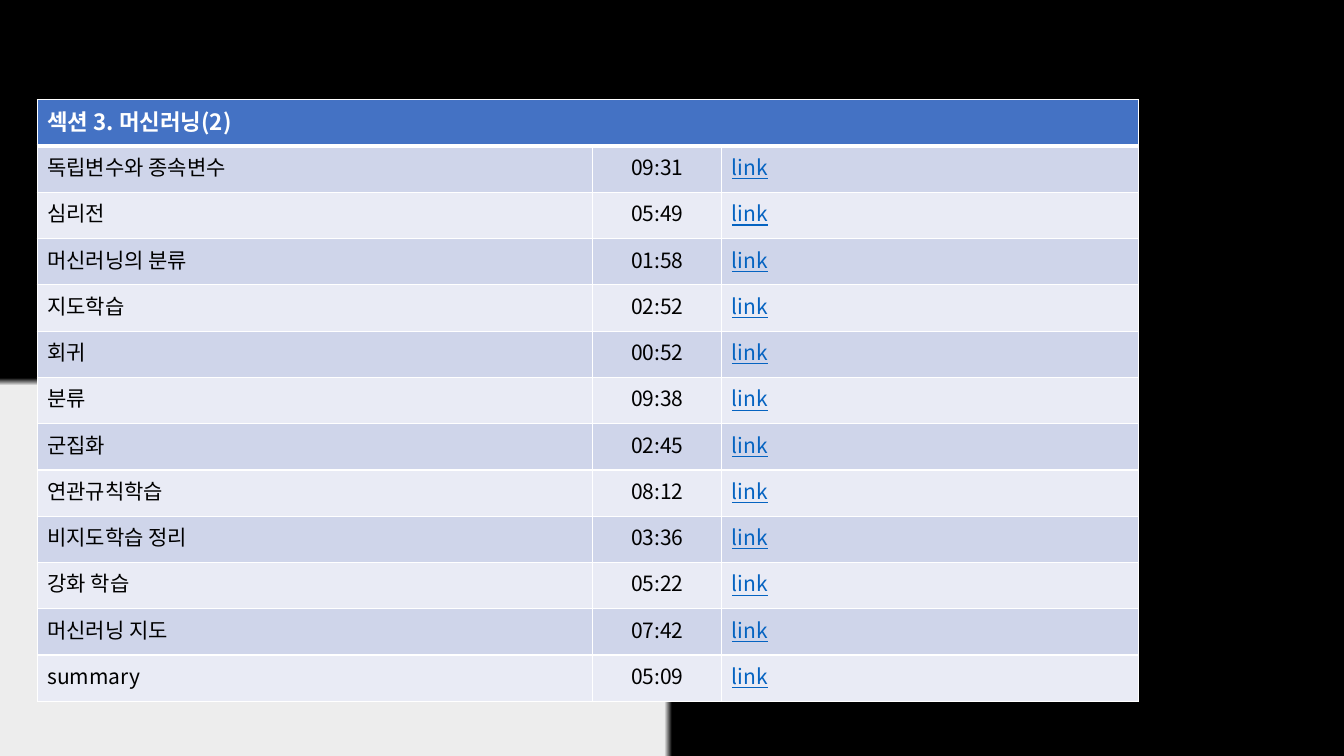
import pptx
import pptx.dml.color
import pptx.enum.shapes
import pptx.enum.text
import pptx.oxml
import pptx.oxml.ns
import pptx.util
import lxml.etree

Inches = pptx.util.Inches
qn = pptx.oxml.ns.qn
LEFT = pptx.enum.text.PP_ALIGN.LEFT
CENTER = pptx.enum.text.PP_ALIGN.CENTER
FONT = "Noto Sans CJK KR"
COLORS = {
    "backdrop": "000000",
    "glow": "EDEDED",
    "header": "4472C4",
    "odd": "CFD5EA",
    "even": "E9EBF5",
    "border": "FFFFFF",
    "text": "000000",
    "link": "0563C1",
}


def rgb(name):
    return pptx.dml.color.RGBColor.from_string(COLORS[name])


def write_cell(cell, text, fill, size=15, color="text", bold=False,
               underline=False, align=LEFT, bottom=1):
    paragraph = cell.text_frame.paragraphs[0]
    paragraph.alignment = align
    run = paragraph.add_run()
    run.text = text
    run.font.name = FONT
    run.font.size = pptx.util.Pt(size)
    run.font.bold = bold
    run.font.underline = underline
    run.font.color.rgb = rgb(color)
    east_asian = lxml.etree.SubElement(run.font._element, qn("a:ea"))
    east_asian.set("typeface", FONT)
    properties = cell._tc.get_or_add_tcPr()
    for side, width in (("L", 1), ("R", 1), ("T", 1), ("B", bottom)):
        border = lxml.etree.SubElement(properties, qn(f"a:ln{side}"), w=str(pptx.util.Pt(width)))
        solid = lxml.etree.SubElement(border, qn("a:solidFill"))
        lxml.etree.SubElement(solid, qn("a:srgbClr"), val=COLORS["border"])
    cell.fill.solid()
    cell.fill.fore_color.rgb = rgb(fill)


deck = pptx.Presentation()
deck.slide_width = Inches(13.33)
deck.slide_height = Inches(7.5)
slide = deck.slides.add_slide(deck.slide_layouts[6])

backdrop = slide.background.fill
backdrop.gradient()
for stop, name, position in zip(backdrop.gradient_stops, ("glow", "backdrop"), (0.98, 1)):
    stop.color.rgb = rgb(name)
    stop.position = position
gradient = next(slide._element.iter(qn("a:gradFill")))
linear = gradient.find(qn("a:lin"))
corner = lxml.etree.Element(qn("a:path"), path="rect")
lxml.etree.SubElement(corner, qn("a:fillToRect"), l="0", t="100000", r="100000", b="0")
gradient.replace(linear, corner)

title_rule = slide.shapes.add_connector(
    pptx.enum.shapes.MSO_CONNECTOR.STRAIGHT, Inches(0.07), Inches(0.6), Inches(10.97), Inches(0.6))
title_rule.line.color.rgb = rgb("backdrop")
title_rule.line.width = pptx.util.Pt(3)
lxml.etree.SubElement(title_rule._element.spPr, qn("a:effectLst"))

lectures = [
    ("독립변수와 종속변수", "09:31"),
    ("심리전", "05:49"),
    ("머신러닝의 분류", "01:58"),
    ("지도학습", "02:52"),
    ("회귀", "00:52"),
    ("분류", "09:38"),
    ("군집화", "02:45"),
    ("연관규칙학습", "08:12"),
    ("비지도학습 정리", "03:36"),
    ("강화 학습", "05:22"),
    ("머신러닝 지도", "07:42"),
    ("summary", "05:09"),
]
curriculum = slide.shapes.add_table(
    len(lectures) + 1, 3, Inches(0.37), Inches(0.99), Inches(10.92), Inches(5.97)).table
for column, width in zip(curriculum.columns, (5.51, 1.28, 4.13)):
    column.width = Inches(width)

section = curriculum.cell(0, 0)
section.merge(curriculum.cell(0, 2))
write_cell(section, "섹션 3. 머신러닝(2)", "header", size=16, color="border", bold=True, bottom=3)

for row, (lecture, duration) in enumerate(lectures, start=1):
    band = "odd" if row % 2 else "even"
    write_cell(curriculum.cell(row, 0), lecture, band)
    write_cell(curriculum.cell(row, 1), duration, band, align=CENTER)
    write_cell(curriculum.cell(row, 2), "link", band, color="link", underline=True)

deck.save("out.pptx")
